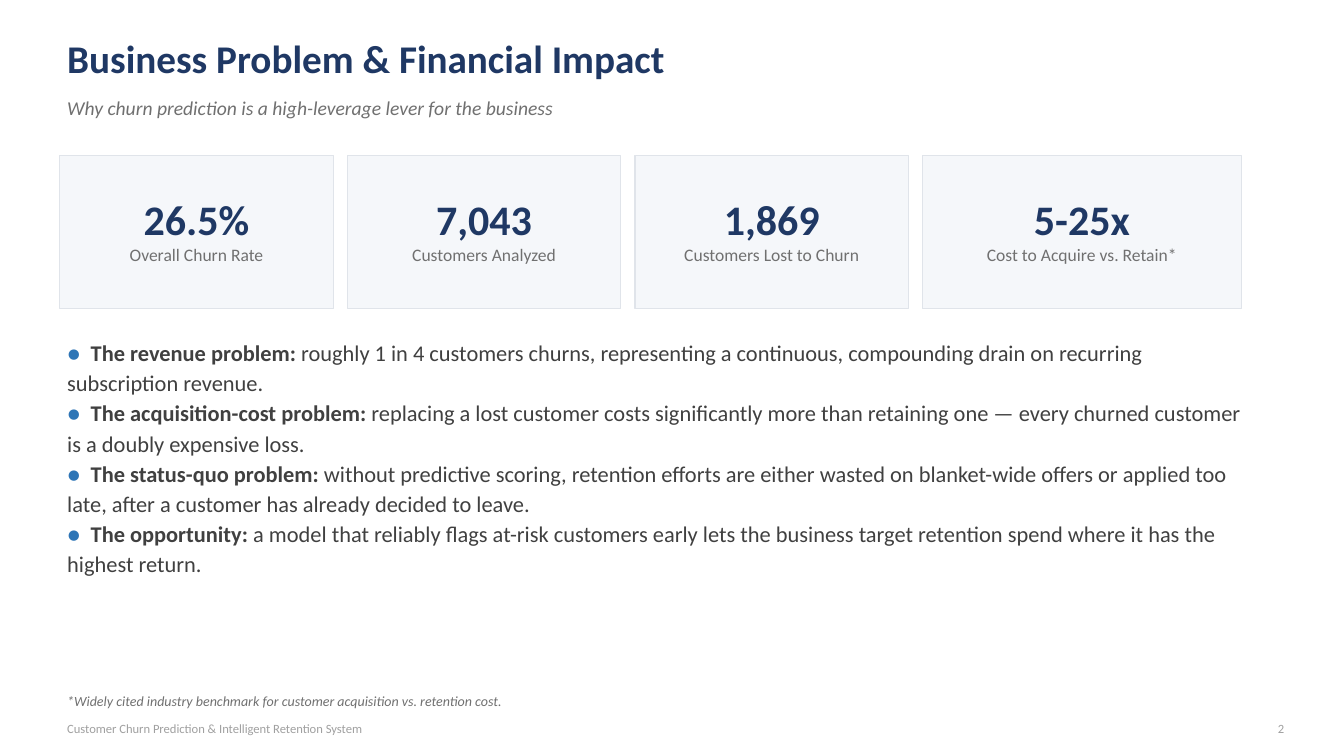
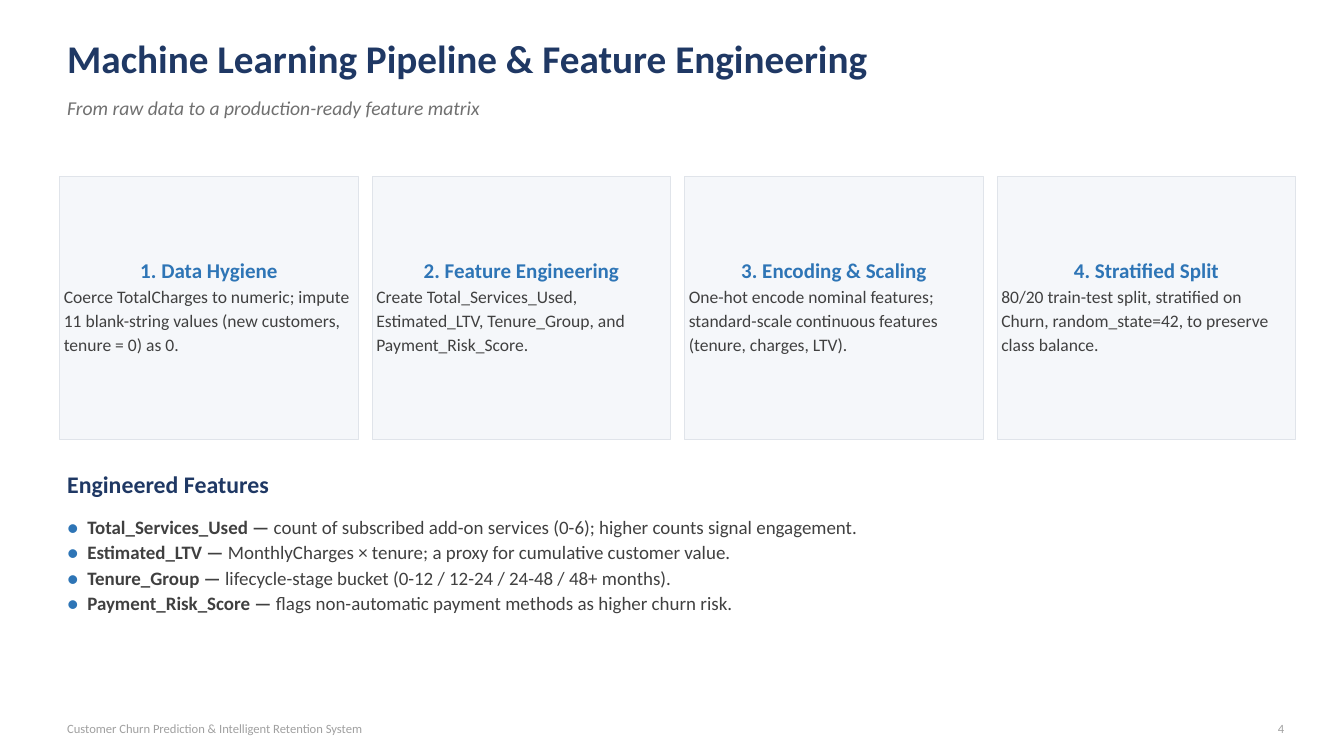
from dataclasses import dataclass

from lxml import etree
from pptx import Presentation
from pptx import util as u
from pptx.dml.color import RGBColor
from pptx.enum import shapes, text
from pptx.oxml import ns

FOOTER = "Customer Churn Prediction & Intelligent Retention System"

PROBLEM = {
    "number": 2,
    "title": "Business Problem & Financial Impact",
    "subtitle": "Why churn prediction is a high-leverage lever for the business",
    "cards": [
        ("26.5%", "Overall Churn Rate"),
        ("7,043", "Customers Analyzed"),
        ("1,869", "Customers Lost to Churn"),
        ("5-25x", "Cost to Acquire vs. Retain*"),
    ],
    "bullets": [
        ("The revenue problem: ",
         "roughly 1 in 4 customers churns, representing a continuous, compounding "
         "drain on recurring subscription revenue."),
        ("The acquisition-cost problem: ",
         "replacing a lost customer costs significantly more than retaining one — "
         "every churned customer is a doubly expensive loss."),
        ("The status-quo problem: ",
         "without predictive scoring, retention efforts are either wasted on "
         "blanket-wide offers or applied too late, after a customer has already "
         "decided to leave."),
        ("The opportunity: ",
         "a model that reliably flags at-risk customers early lets the business "
         "target retention spend where it has the highest return."),
    ],
    "footnote": "*Widely cited industry benchmark for customer acquisition vs. retention cost.",
}

PIPELINE = {
    "number": 4,
    "title": "Machine Learning Pipeline & Feature Engineering",
    "subtitle": "From raw data to a production-ready feature matrix",
    "cards": [
        ("1. Data Hygiene",
         "Coerce TotalCharges to numeric; impute 11 blank-string values "
         "(new customers, tenure = 0) as 0."),
        ("2. Feature Engineering",
         "Create Total_Services_Used, Estimated_LTV, Tenure_Group, and "
         "Payment_Risk_Score."),
        ("3. Encoding & Scaling",
         "One-hot encode nominal features; standard-scale continuous features "
         "(tenure, charges, LTV)."),
        ("4. Stratified Split",
         "80/20 train-test split, stratified on Churn, random_state=42, to "
         "preserve class balance."),
    ],
    "heading": "Engineered Features",
    "bullets": [
        ("Total_Services_Used — ",
         "count of subscribed add-on services (0-6); higher counts signal engagement."),
        ("Estimated_LTV — ",
         "MonthlyCharges × tenure; a proxy for cumulative customer value."),
        ("Tenure_Group — ",
         "lifecycle-stage bucket (0-12 / 12-24 / 24-48 / 48+ months)."),
        ("Payment_Risk_Score — ",
         "flags non-automatic payment methods as higher churn risk."),
    ],
}


@dataclass(frozen=True)
class Style:
    """Type size and line spacing in points, with colour and emphasis."""
    size: float
    leading: float
    color: str
    bold: bool = False
    italic: bool = False
    align: text.PP_ALIGN = text.PP_ALIGN.LEFT


class Theme:
    font = "Calibri"
    navy, blue = "1F3864", "2E75B6"
    body, muted, faint = "404040", "707070", "A0A0A0"
    card_fill, card_line = "F5F7FA", "E0E4EA"
    title = Style(42, 58, navy, bold=True)
    subtitle = Style(21, 29, muted, italic=True)
    figure = Style(45, 54, navy, bold=True, align=text.PP_ALIGN.CENTER)
    figure_label = Style(18.8, 22.5, muted, align=text.PP_ALIGN.CENTER)
    step = Style(22.5, 27, blue, bold=True, align=text.PP_ALIGN.CENTER)
    step_detail = Style(18.8, 25.9, body)
    heading = Style(25.5, 35.2, navy, bold=True)
    problem_bullet = Style(24, 32.3, body)
    feature_bullet = Style(20.3, 27.2, body)
    footnote = Style(15, 20.7, muted, italic=True)
    footer = Style(13.5, 18.6, faint)
    page_number = Style(13.5, 18.6, faint, align=text.PP_ALIGN.RIGHT)


MARGIN = 1
TEXT_WIDTH = 17.51
CARD_LEFT, CARD_GAP, CARD_INSET = 0.89, 0.21, 0.06


def rgb(value):
    return RGBColor.from_string(value)


def style_paragraph(paragraph, style):
    paragraph.alignment = style.align
    paragraph.line_spacing = u.Pt(style.leading)
    font = paragraph.font
    font.name, font.size = Theme.font, u.Pt(style.size)
    font.bold, font.italic = style.bold, style.italic
    font.color.rgb = rgb(style.color)


def set_insets(frame, left, top, right, bottom):
    frame.margin_left, frame.margin_top = u.Inches(left), u.Inches(top)
    frame.margin_right, frame.margin_bottom = u.Inches(right), u.Inches(bottom)
    frame.word_wrap = True


def add_frame(slide, left, top, width, height):
    """Add a text box without insets and return its text frame."""
    box = slide.shapes.add_textbox(*map(u.Inches, (left, top, width, height)))
    set_insets(box.text_frame, 0, 0, 0, 0)
    return box.text_frame


def fill_frame(frame, lines):
    """Write (text, style) lines, one paragraph each."""
    for index, (line, style) in enumerate(lines):
        paragraph = frame.add_paragraph() if index else frame.paragraphs[0]
        paragraph.text = line
        style_paragraph(paragraph, style)


def add_line(slide, line, style, left, top, width, height):
    fill_frame(add_frame(slide, left, top, width, height), [(line, style)])


def add_cards(slide, cards, top, height, widths, styles, lift):
    """Lay cards left to right; lift is extra bottom inset that raises the text."""
    left = CARD_LEFT
    for lines, width in zip(cards, widths):
        card = slide.shapes.add_shape(
            shapes.MSO_SHAPE.RECTANGLE,
            *map(u.Inches, (left, top, width, height)))
        card.shadow.inherit = False
        card.fill.solid()
        card.fill.fore_color.rgb = rgb(Theme.card_fill)
        card.line.color.rgb = rgb(Theme.card_line)
        card.line.width = u.Pt(1.13)
        frame = card.text_frame
        set_insets(frame, CARD_INSET, CARD_INSET, CARD_INSET, CARD_INSET + lift)
        frame.vertical_anchor = text.MSO_ANCHOR.MIDDLE
        fill_frame(frame, zip(lines, styles))
        left += width + CARD_GAP


def add_tab_stop(paragraph, position):
    properties = paragraph._p.get_or_add_pPr()
    stops = etree.SubElement(properties, ns.qn("a:tabLst"))
    etree.SubElement(stops, ns.qn("a:tab"), pos=str(u.Inches(position)), algn="l")


def add_bullets(slide, bullets, style, top, height, text_start):
    """Coloured dot, bold lead and plain text; wrapped lines return to the margin."""
    frame = add_frame(slide, MARGIN, top, TEXT_WIDTH, height)
    for index, (lead, detail) in enumerate(bullets):
        paragraph = frame.add_paragraph() if index else frame.paragraphs[0]
        add_tab_stop(paragraph, text_start)
        style_paragraph(paragraph, style)
        dot, lead_run, detail_run = (paragraph.add_run() for _ in range(3))
        dot.text, lead_run.text, detail_run.text = "●\t", lead, detail
        dot.font.color.rgb = rgb(Theme.blue)
        lead_run.font.bold = True


def add_base_slide(presentation, content):
    """Add a slide with the shared title, subtitle, footer and page number."""
    slide = presentation.slides.add_slide(presentation.slide_layouts[6])
    add_line(slide, content["title"], Theme.title, MARGIN, 0.4, 17.96, 1.13)
    add_line(slide, content["subtitle"], Theme.subtitle, MARGIN, 1.38, 17.96, 0.59)
    add_line(slide, FOOTER, Theme.footer, MARGIN, 10.69, 11.81, 0.4)
    add_line(slide, str(content["number"]), Theme.page_number, 18.56, 10.69, 0.55, 0.4)
    return slide


def build_problem(presentation):
    slide = add_base_slide(presentation, PROBLEM)
    add_cards(slide, PROBLEM["cards"], 2.32, 2.27, [4.07] * 3 + [4.74],
              (Theme.figure, Theme.figure_label), lift=0.08)
    add_bullets(slide, PROBLEM["bullets"], Theme.problem_bullet, 5, 4.94, 0.35)
    add_line(slide, PROBLEM["footnote"], Theme.footnote, MARGIN, 10.27, 17.06, 0.41)


def build_pipeline(presentation):
    slide = add_base_slide(presentation, PIPELINE)
    add_cards(slide, PIPELINE["cards"], 2.62, 3.92, [4.44] * 4,
              (Theme.step, Theme.step_detail), lift=0.05)
    add_line(slide, PIPELINE["heading"], Theme.heading, MARGIN, 6.93, TEXT_WIDTH, 0.6)
    add_bullets(slide, PIPELINE["bullets"], Theme.feature_bullet, 7.63, 2.83, 0.3)


def main():
    presentation = Presentation()
    presentation.slide_width = u.Inches(20)
    presentation.slide_height = u.Inches(11.25)
    build_problem(presentation)
    build_pipeline(presentation)
    presentation.save("out.pptx")


if __name__ == "__main__":
    main()
